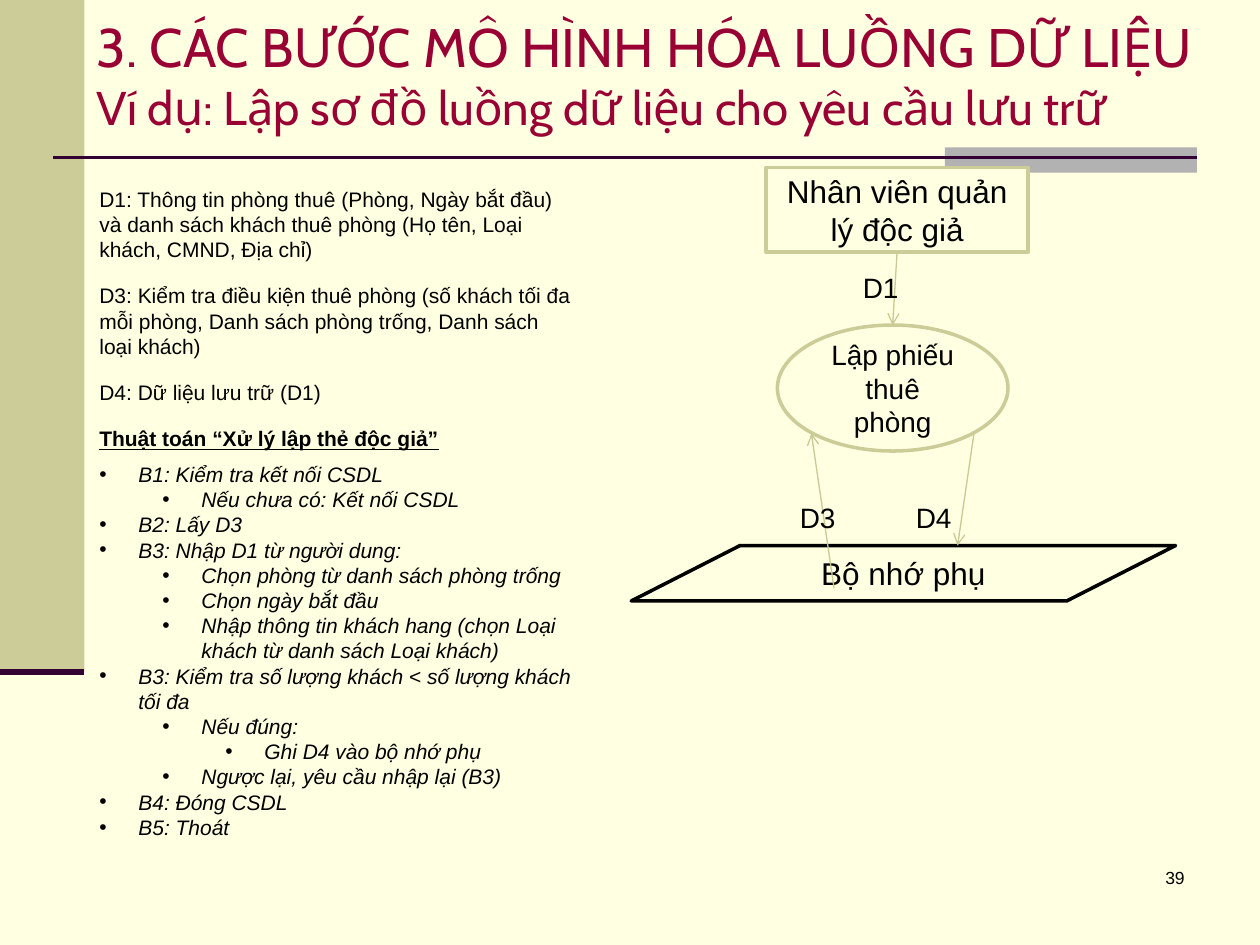
from lxml import etree
from pptx import Presentation
from pptx import util as u
from pptx.dml.color import RGBColor
from pptx.enum import shapes, text
from pptx.oxml import ns

COLORS = {
    "paper": "FFFFE1", "khaki": "CCCC99", "arrow": "C9C994", "gray": "B2B2B2",
    "plum": "330033", "title": "990033", "black": "000000",
}
SHAPE = shapes.MSO_SHAPE
ALIGN = text.PP_ALIGN
ANCHOR = text.MSO_ANCHOR

NOTES = [
    "D1: Thông tin phòng thuê (Phòng, Ngày bắt đầu) và danh sách khách thuê phòng "
    "(Họ tên, Loại khách, CMND, Địa chỉ)",
    "D3: Kiểm tra điều kiện thuê phòng (số khách tối đa mỗi phòng, Danh sách phòng trống, "
    "Danh sách loại khách)",
    "D4: Dữ liệu lưu trữ (D1)",
]
HEADING = "Thuật toán “Xử lý lập thẻ độc giả”"
STEPS = [
    (0, "B1: Kiểm tra kết nối CSDL"),
    (1, "Nếu chưa có: Kết nối CSDL"),
    (0, "B2: Lấy D3"),
    (0, "B3: Nhập D1 từ người dung:"),
    (1, "Chọn phòng từ danh sách phòng trống"),
    (1, "Chọn ngày bắt đầu"),
    (1, "Nhập thông tin khách hang (chọn Loại khách từ danh sách Loại khách)"),
    (0, "B3: Kiểm tra số lượng khách < số lượng khách tối đa"),
    (1, "Nếu đúng:"),
    (2, "Ghi D4 vào bộ nhớ phụ"),
    (1, "Ngược lại, yêu cầu nhập lại (B3)"),
    (0, "B4: Đóng CSDL"),
    (0, "B5: Thoát"),
]


def rgb(name):
    return RGBColor.from_string(COLORS[name])


def inches(values):
    return [u.Inches(v) for v in values]


def add_run(p, content, size, color="black", **formats):
    r = p.add_run()
    r.text = content
    r.font.color.rgb = rgb(color)
    for name, value in {"name": "Arial", "size": u.Pt(size), **formats}.items():
        setattr(r.font, name, value)


def add_box(s, at, anchor=ANCHOR.TOP):
    tf = s.shapes.add_textbox(*inches(at)).text_frame
    tf.word_wrap = True
    tf.vertical_anchor = anchor
    return tf


def add_label(s, at, content, size, align=ALIGN.LEFT):
    p = add_box(s, at).paragraphs[0]
    p.alignment = align
    add_run(p, content, size)


def add_block(s, kind, at, fill, line=None, content="", size=18):
    sp = s.shapes.add_shape(kind, *inches(at))
    sp.shadow.inherit = False
    sp.fill.solid()
    sp.fill.fore_color.rgb = rgb(fill)
    if line:
        sp.line.color.rgb = rgb(line)
        sp.line.width = u.Pt(2)
    else:
        sp.line.fill.background()
    if content:
        tf = sp.text_frame
        tf.word_wrap = True
        tf.vertical_anchor = ANCHOR.MIDDLE
        tf.paragraphs[0].alignment = ALIGN.CENTER
        add_run(tf.paragraphs[0], content, size)
    return sp


def add_line(s, start, end, color, width, arrow=False):
    cx = s.shapes.add_connector(shapes.MSO_CONNECTOR.STRAIGHT, *inches(start + end))
    cx.line.color.rgb = rgb(color)
    cx.line.width = u.Pt(width)
    if arrow:
        etree.SubElement(cx.line._get_or_add_ln(), ns.qn("a:tailEnd"), type="arrow")
    etree.SubElement(cx._element.spPr, ns.qn("a:effectLst"))
    return cx


def add_bullet(p, level):
    p.level = level
    pPr = p._p.get_or_add_pPr()
    pPr.set("marL", str(u.Inches(0.31 + 0.5 * level)))
    pPr.set("indent", str(u.Inches(-0.31)))
    etree.SubElement(pPr, ns.qn("a:buFont"), typeface="Arial")
    etree.SubElement(pPr, ns.qn("a:buChar"), char="•")


def add_frame(s):
    add_block(s, SHAPE.RECTANGLE, (0, 0, 0.67, 5.33), "khaki")
    add_block(s, SHAPE.RECTANGLE, (7.5, 1.17, 2, 0.2), "gray")
    add_line(s, (0.42, 1.25), (9.5, 1.25), "plum", 1.5)
    add_line(s, (0, 5.33), (0.67, 5.33), "plum", 3.5)


def add_title(s):
    p = add_box(s, (0.67, 0, 9.33, 1.17), ANCHOR.MIDDLE).paragraphs[0]
    add_run(p, "3. CÁC BƯỚC MÔ HÌNH HÓA LUỒNG DỮ LIỆU", 31, "title", name="Cabin")
    p.add_line_break()
    add_run(p, "Ví dụ: Lập sơ đồ luồng dữ liệu cho yêu cầu lưu trữ", 27, "title", name="Cabin")


def add_diagram(s):
    process = add_block(s, SHAPE.OVAL, (6.17, 2.58, 1.83, 1), "paper", "khaki",
                        "Lập phiếu thuê phòng", 16)
    staff = add_block(s, SHAPE.RECTANGLE, (6.08, 1.33, 2.08, 0.67), "paper", "khaki",
                      "Nhân viên quản lý độc giả")
    add_block(s, SHAPE.FLOWCHART_DATA, (5.01, 4.33, 4.32, 0.44), "paper", "black", "Bộ nhớ phụ")
    d1 = add_line(s, (7.12, 2), (7.08, 2.58), "arrow", 0.75, True)
    d1.begin_connect(staff, 2)
    d1.end_connect(process, 0)
    add_line(s, (7.73, 3.44), (7.6, 4.33), "arrow", 0.75, True)
    add_line(s, (6.62, 4.67), (6.44, 3.44), "arrow", 0.75, True)
    for content, left, top in (("D1", 6.75, 2.1), ("D4", 7.17, 3.92), ("D3", 6.25, 3.92)):
        add_label(s, (left, top, 0.5, 0.37), content, 16)


def add_algorithm(s):
    tf = add_box(s, (0.69, 1.43, 3.95, 5.54))
    for i, content in enumerate(NOTES + [HEADING]):
        p = tf.add_paragraph() if i else tf.paragraphs[0]
        p.space_before = u.Pt(6 if i else 0)
        p.space_after = u.Pt(6)
        heading = content == HEADING
        add_run(p, content, 12, bold=heading, underline=heading)
    for level, content in STEPS:
        p = tf.add_paragraph()
        add_bullet(p, level)
        add_run(p, content, 12, italic=True)


def main():
    prs = Presentation()
    prs.slide_width, prs.slide_height = inches((10, 7.5))
    s = prs.slides.add_slide(prs.slide_layouts[6])
    s.background.fill.solid()
    s.background.fill.fore_color.rgb = rgb("paper")
    add_frame(s)
    add_title(s)
    add_label(s, (7.42, 6.83, 2.08, 0.5), "39", 10, ALIGN.RIGHT)
    add_diagram(s)
    add_algorithm(s)
    prs.save("out.pptx")


if __name__ == "__main__":
    main()
